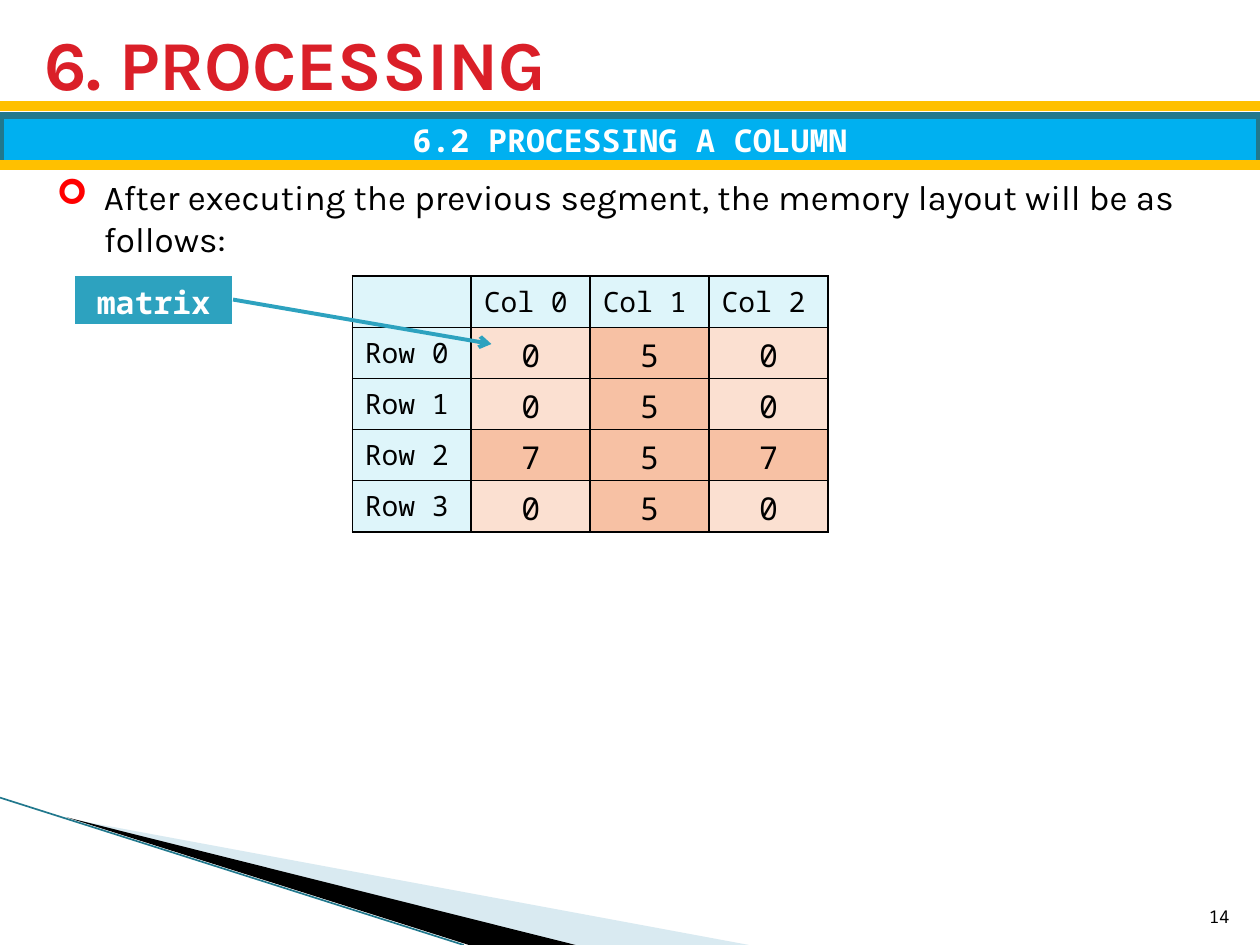
from lxml import etree
from pptx import Presentation
from pptx.dml.color import RGBColor
from pptx.enum import shapes, text
from pptx.oxml import ns
from pptx.util import Pt

BODY_FONT, MONO_FONT = "Karla", "Noto Sans Mono"
BLACK = RGBColor(0x00, 0x00, 0x00)
WHITE = RGBColor(0xFF, 0xFF, 0xFF)
RED = RGBColor(0xDA, 0x1F, 0x28)
YELLOW = RGBColor(0xFF, 0xC0, 0x00)
SKY = RGBColor(0x00, 0xB0, 0xF0)
DARK_TEAL = RGBColor(0x21, 0x78, 0x8D)
TEAL = RGBColor(0x2D, 0xA2, 0xBF)
PALE_BLUE = RGBColor(0xA0, 0xCB, 0xDC)
HEADER_FILL = RGBColor(0xDE, 0xF5, 0xFA)
CELL_FILL = RGBColor(0xFB, 0xE0, 0xD1)
CHANGED_FILL = RGBColor(0xF7, 0xC1, 0xA4)

TITLE = "6. PROCESSING"
SUBTITLE = "6.2 PROCESSING A COLUMN"
BULLET = "After executing the previous segment, the memory layout will be as follows:"
PAGE_NUMBER = "14"
MATRIX_NAME = "matrix"
MATRIX = [[0, 5, 0], [0, 5, 0], [7, 5, 7], [0, 5, 0]]

WIDTH, HEIGHT = 720, 540
COLUMN_WIDTH, ROW_HEIGHT = 68, 29.25
RULE_TOPS = (60.5, 94.3)
WEDGES = [
    ([(39.6, 468), (428.4, HEIGHT), (328.3, HEIGHT)], PALE_BLUE, 40),
    ([(38.2, 467.3), (329, HEIGHT), (267.8, HEIGHT)], BLACK, 100),
]


def add_child(parent, tag, **attributes):
    return etree.SubElement(parent, ns.qn(tag), attributes)


def place(shape, left, top, width, height):
    shape.left, shape.top, shape.width, shape.height = map(Pt, (left, top, width, height))


def write(frame, content, size, color, font=MONO_FONT, bold=False,
          align=text.PP_ALIGN.LEFT, anchor=text.MSO_ANCHOR.TOP):
    frame.text = content
    frame.word_wrap = True
    frame.auto_size = text.MSO_AUTO_SIZE.NONE
    frame.vertical_anchor = anchor
    style(frame.paragraphs[0], size, color, font, bold, align)


def style(paragraph, size, color, font=MONO_FONT, bold=False, align=text.PP_ALIGN.LEFT):
    paragraph.alignment = align
    paragraph.space_before = Pt(0)
    for run in paragraph.runs:
        run.font.name, run.font.size, run.font.bold = font, Pt(size), bold
        run.font.color.rgb = color


def add_line(slide, start, end, color, width, arrow=False):
    line = slide.shapes.add_connector(shapes.MSO_CONNECTOR.STRAIGHT, *map(Pt, start + end))
    line.line.color.rgb = color
    line.line.width = Pt(width)
    if arrow:
        add_child(line.line._get_or_add_ln(), "a:tailEnd", type="arrow")
    add_child(line._element.spPr, "a:effectLst")


def add_wedge(slide, points, color, opacity):
    builder = slide.shapes.build_freeform(*points[0], scale=Pt(1))
    builder.add_line_segments(points[1:])
    wedge = builder.convert_to_shape()
    wedge.shadow.inherit = False
    wedge.fill.solid()
    wedge.fill.fore_color.rgb = color
    wedge.line.fill.background()
    if opacity < 100:
        color_element = wedge._element.spPr.find(".//" + ns.qn("a:srgbClr"))
        add_child(color_element, "a:alpha", val=str(opacity * 1000))


def add_grid(slide, left, top, column_width, row_height, rows):
    """Add a table; each cell is (content, size, color, fill, bold, align)."""
    count = len(rows[0])
    frame = slide.shapes.add_table(len(rows), count, Pt(left), Pt(top),
                                   Pt(column_width * count), Pt(row_height * len(rows)))
    table = frame.table
    for column in table.columns:
        column.width = Pt(column_width)
    for row, values in zip(table.rows, rows):
        row.height = Pt(row_height)
        for cell, (content, size, color, fill, bold, align) in zip(row.cells, values):
            cell.text = content
            cell.margin_bottom = 0
            style(cell.text_frame.paragraphs[0], size, color, bold=bold, align=align)
            cell.fill.solid()
            cell.fill.fore_color.rgb = fill
    return table


def set_borders(table, color, **widths):
    for cell in table.iter_cells():
        properties = cell._tc.get_or_add_tcPr()
        for position, side in enumerate("LRTB"):
            border = etree.Element(ns.qn("a:ln" + side), w=str(Pt(widths.get(side, 1))))
            add_child(add_child(border, "a:solidFill"), "a:srgbClr", val=str(color))
            properties.insert(position, border)


def matrix_rows():
    left, center = text.PP_ALIGN.LEFT, text.PP_ALIGN.CENTER

    def label(content):
        return content, 16, BLACK, HEADER_FILL, False, left

    rows = [[label("")] + [label(f"Col {i}") for i in range(len(MATRIX[0]))]]
    for i, values in enumerate(MATRIX):
        rows.append([label(f"Row {i}")] + [
            (str(value), 18, BLACK, CHANGED_FILL if value else CELL_FILL, False, center)
            for value in values])
    return rows


def main():
    presentation = Presentation()
    presentation.slide_width, presentation.slide_height = Pt(WIDTH), Pt(HEIGHT)
    slide = presentation.slides.add_slide(presentation.slide_layouts[1])
    center, middle = text.PP_ALIGN.CENTER, text.MSO_ANCHOR.MIDDLE

    for wedge in WEDGES:
        add_wedge(slide, *wedge)
    add_line(slide, (0, 455.8), (265, HEIGHT), DARK_TEAL, 0.95)

    title, body = slide.placeholders
    place(title, 18, 12.2, 682, 46.8)
    write(title.text_frame, TITLE, 40, RED, BODY_FONT, bold=True, anchor=middle)

    place(body, 25.2, 96.5, 680.4, 55.5)
    body.text_frame.text = BULLET
    properties = body.text_frame.paragraphs[0]._p.get_or_add_pPr()
    properties.set("marL", str(Pt(27)))
    properties.set("indent", str(Pt(-27)))
    add_child(add_child(properties, "a:buClr"), "a:srgbClr", val="FF0000")
    add_child(properties, "a:buFont", typeface="Wingdings")
    add_child(properties, "a:buChar", char="➢")
    body.text_frame.auto_size = text.MSO_AUTO_SIZE.NONE
    style(body.text_frame.paragraphs[0], 20, BLACK, BODY_FONT)

    number = slide.shapes.add_textbox(Pt(681), Pt(504.7), Pt(28.8), Pt(28.8))
    write(number.text_frame, PAGE_NUMBER, 10, BLACK, align=text.PP_ALIGN.RIGHT,
          anchor=text.MSO_ANCHOR.BOTTOM)

    band = slide.shapes.add_shape(shapes.MSO_SHAPE.RECTANGLE, 0, Pt(66), Pt(WIDTH), Pt(28.2))
    band.shadow.inherit = False
    band.fill.solid()
    band.fill.fore_color.rgb = SKY
    band.line.color.rgb = DARK_TEAL
    band.line.width = Pt(4.33)
    write(band.text_frame, SUBTITLE, 18, WHITE, bold=True, align=center, anchor=middle)

    for top in RULE_TOPS:
        add_line(slide, (0, top), (WIDTH, top), YELLOW, 6)

    grid = add_grid(slide, 201.3, 157.8, COLUMN_WIDTH, ROW_HEIGHT, matrix_rows())
    set_borders(grid, BLACK)
    name_cell = (MATRIX_NAME, 18, WHITE, TEAL, True, center)
    name = add_grid(slide, 42.5, 157, 90.5, ROW_HEIGHT, [[name_cell]])
    set_borders(name, WHITE, B=3)
    add_line(slide, (133.2, 171.2), (280.8, 196.6), TEAL, 2.25, arrow=True)

    presentation.save("out.pptx")


if __name__ == "__main__":
    main()
